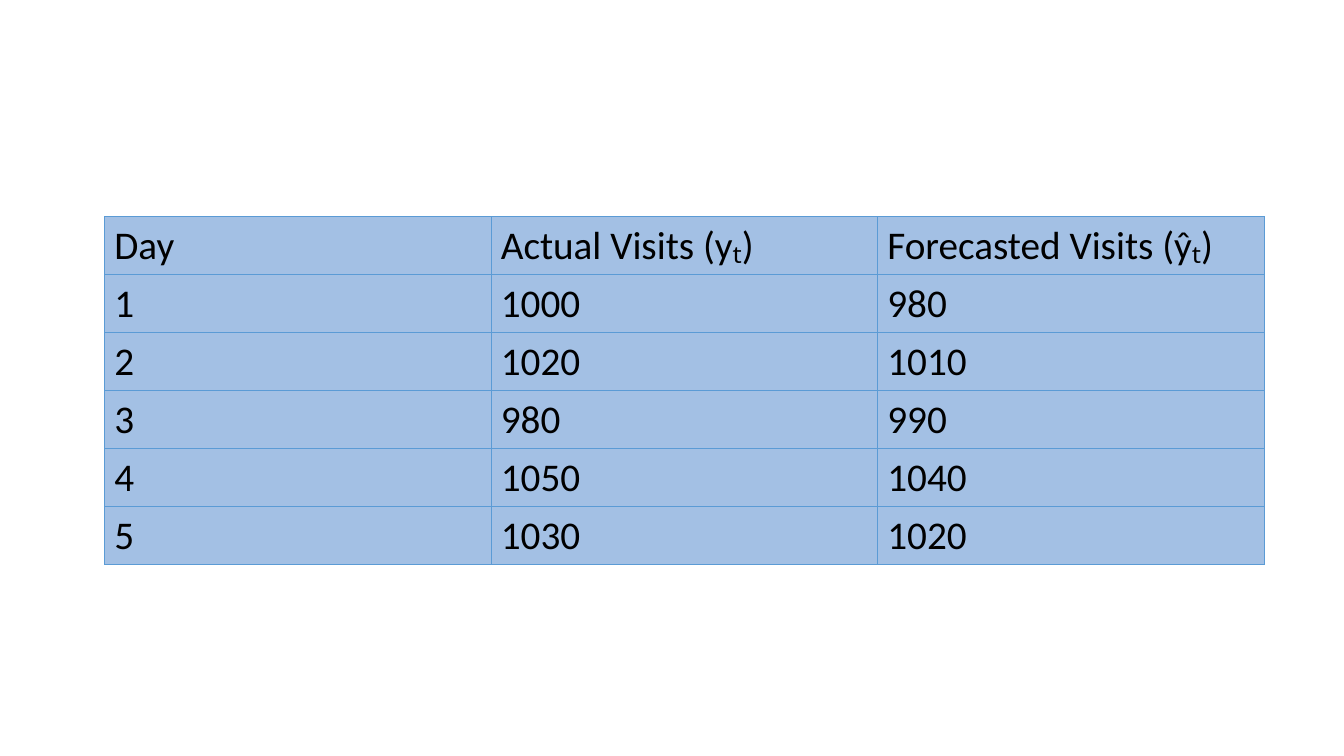
from lxml import etree
from pptx import Presentation
from pptx.dml.color import RGBColor
from pptx.enum.text import MSO_ANCHOR
from pptx.oxml.ns import qn
from pptx.util import Cm, Pt

MIDDLE = MSO_ANCHOR.MIDDLE
CELL_BLUE = RGBColor(0xA3, 0xC0, 0xE4)
BORDER_BLUE = RGBColor(0x5B, 0x9B, 0xD5)
BLACK = RGBColor(0x00, 0x00, 0x00)
FONT_FORMAT = {"name": "Calibri", "size": Pt(28), "bold": False}
BORDER_TAGS = ("a:lnL", "a:lnR", "a:lnT", "a:lnB")
COLUMN_WIDTH = Cm(9.74)
ROW_HEIGHT = Cm(1.46)

visits = [
    ("Day", "Actual Visits (yₜ)", "Forecasted Visits (ŷₜ)"),
    ("1", "1000", "980"),
    ("2", "1020", "1010"),
    ("3", "980", "990"),
    ("4", "1050", "1040"),
    ("5", "1030", "1020"),
]


def add_borders(cell):
    properties = cell._tc.get_or_add_tcPr()
    for tag in BORDER_TAGS:
        line = etree.SubElement(properties, qn(tag), w=str(Pt(0.5)))
        fill = etree.SubElement(line, qn("a:solidFill"))
        etree.SubElement(fill, qn("a:srgbClr"), val=str(BORDER_BLUE))


presentation = Presentation()
presentation.slide_width = Cm(33.87)
presentation.slide_height = Cm(19.05)
slide = presentation.slides.add_slide(presentation.slide_layouts[6])

row_count, column_count = len(visits), len(visits[0])
table = slide.shapes.add_table(
    row_count, column_count, Cm(2.63), Cm(5.46),
    COLUMN_WIDTH * column_count, ROW_HEIGHT * row_count,
).table
table.first_row = False
table.horz_banding = False

for row, values in zip(table.rows, visits):
    for cell, value in zip(row.cells, values):
        cell.text = value
        cell.vertical_anchor = MIDDLE
        add_borders(cell)
        cell.fill.solid()
        cell.fill.fore_color.rgb = CELL_BLUE
        font = cell.text_frame.paragraphs[0].runs[0].font
        for attribute, setting in FONT_FORMAT.items():
            setattr(font, attribute, setting)
        font.color.rgb = BLACK

presentation.save("out.pptx")
